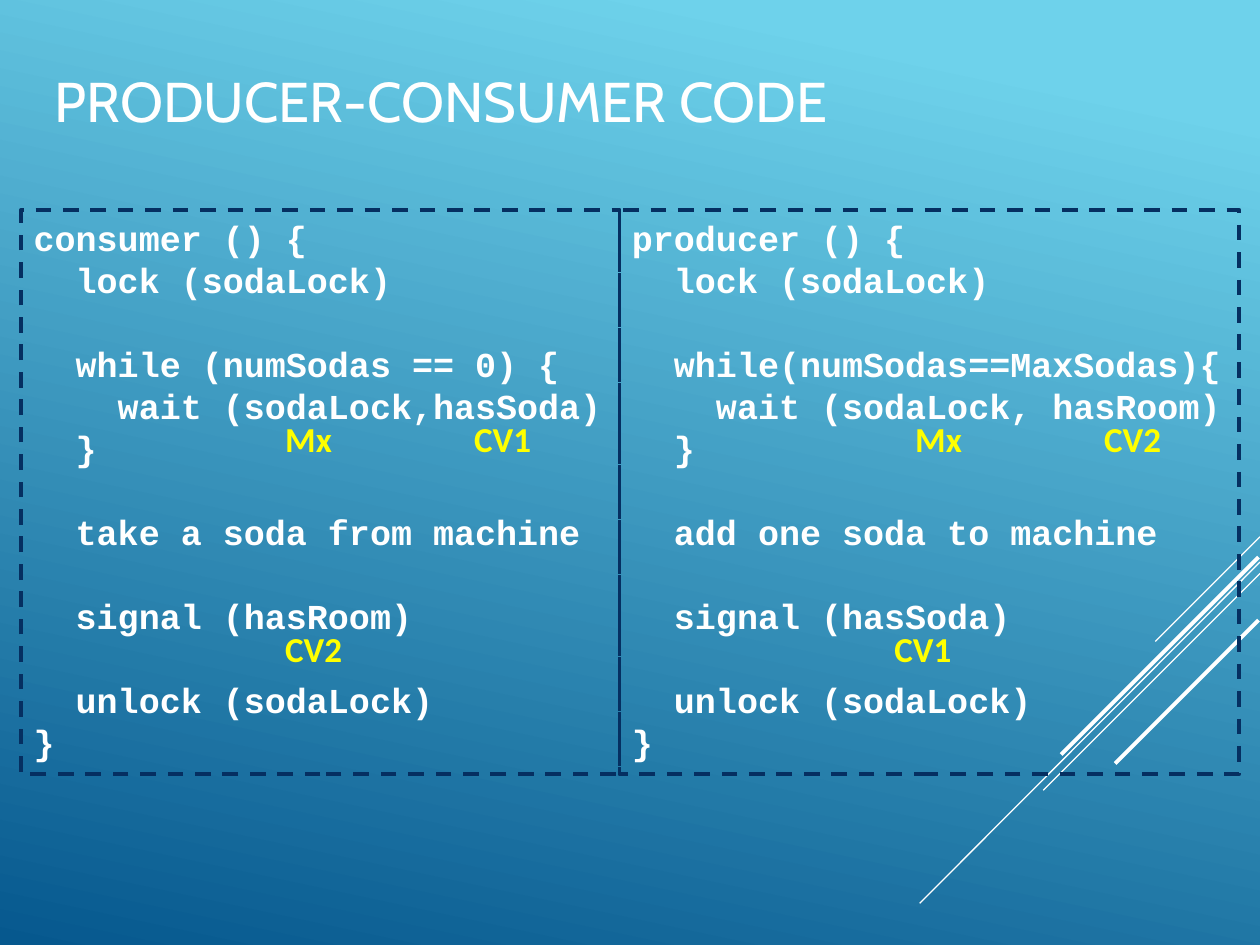
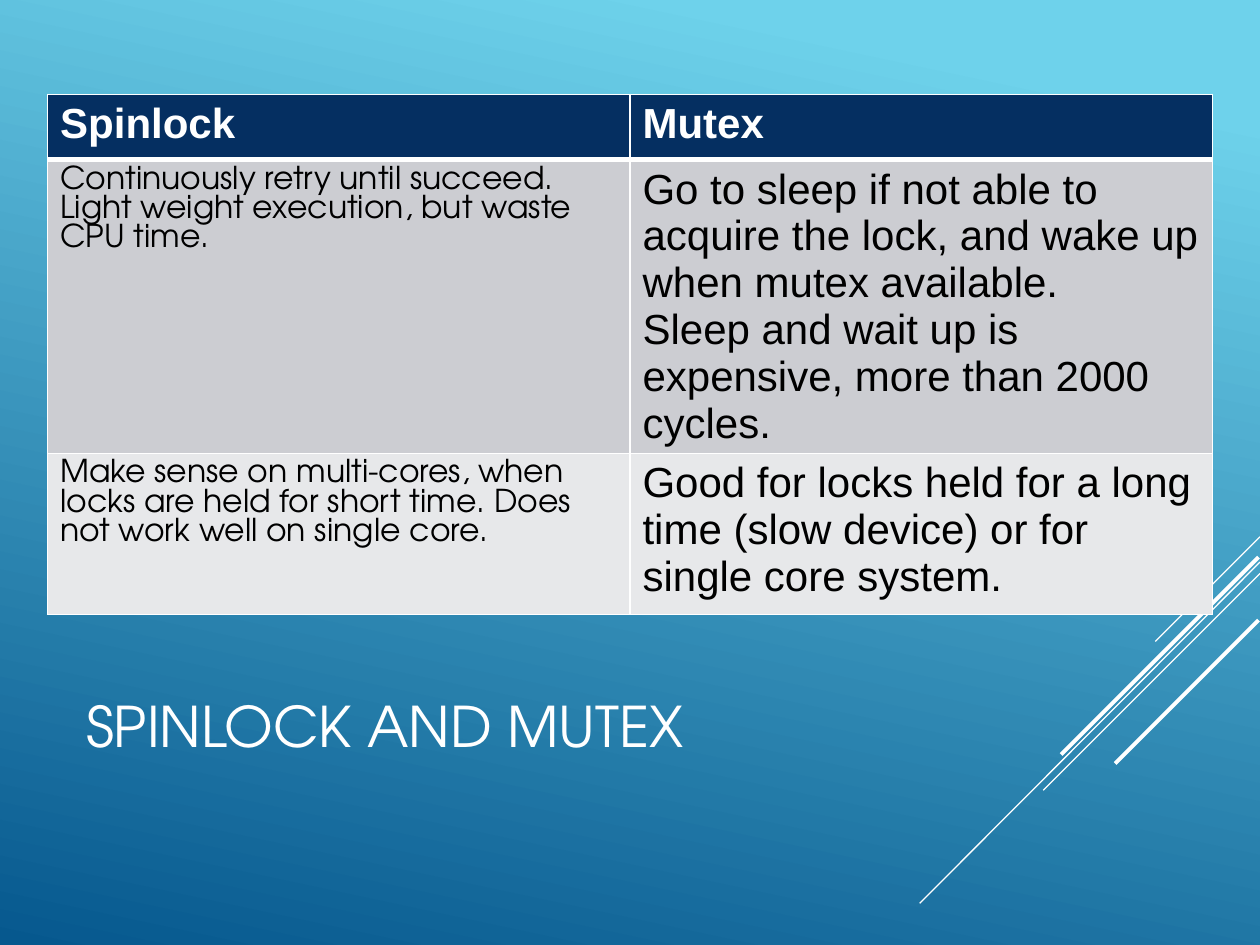
"""Build two slides on producer-consumer code and on spinlocks versus mutexes."""
from lxml import etree
from pptx import Presentation
from pptx.dml.color import RGBColor
from pptx.enum.dml import MSO_LINE
from pptx.enum.shapes import MSO_CONNECTOR, MSO_SHAPE
from pptx.enum.text import MSO_ANCHOR, PP_ALIGN
from pptx.oxml import parse_xml
from pptx.oxml.ns import nsdecls, qn
from pptx.util import Cm, Pt

STRAIGHT = MSO_CONNECTOR.STRAIGHT
RECT = MSO_SHAPE.RECTANGLE
DASH = MSO_LINE.DASH
TOP, MIDDLE = MSO_ANCHOR.TOP, MSO_ANCHOR.MIDDLE
LEFT = PP_ALIGN.LEFT

WHITE = RGBColor(0xFF, 0xFF, 0xFF)
BLACK = RGBColor(0x00, 0x00, 0x00)
YELLOW = RGBColor(0xFF, 0xFF, 0x00)
NAVY = RGBColor(0x05, 0x2F, 0x61)
SKY = RGBColor(0x6E, 0xD2, 0xEB)
OCEAN = RGBColor(0x06, 0x58, 0x8E)
BAND_DARK = RGBColor(0xCC, 0xCD, 0xD2)
BAND_LIGHT = RGBColor(0xE7, 0xE8, 0xEA)

ADVENTOR = "TeX Gyre Adventor"
CODE_PITCH = Pt(24)
RAYS = [
    (25.4, 10.82, 23.29, 12.93, 0.75),
    (25.4, 11.33, 18.54, 18.21, 0.75),
    (25.4, 11.56, 21.03, 15.93, 0.75),
    (25.37, 11.23, 21.39, 15.21, 2.25),
    (25.37, 12.5, 22.48, 15.39, 2.25),
]


def set_font(p, name, size, color, bold=False):
    for r in p.runs:
        r.font.name = name
        r.font.size = Pt(size)
        r.font.color.rgb = color
        r.font.bold = bold


def add_title_slide(title, left, top, font):
    s = prs.slides.add_slide(prs.slide_layouts[5])
    for x1, y1, x2, y2, weight in RAYS:
        ray = s.shapes.add_connector(STRAIGHT, Cm(x1), Cm(y1), Cm(x2), Cm(y2))
        ray.line.color.rgb = WHITE
        ray.line.width = Pt(weight)
        etree.SubElement(ray._element.spPr, qn("a:effectLst"))
    sp = s.shapes.title
    sp.left, sp.top, sp.width, sp.height = Cm(left), Cm(top), Cm(18.2), Cm(4.24)
    tf = sp.text_frame
    tf.text = title
    tf.vertical_anchor = MIDDLE
    tf.paragraphs[0].alignment = LEFT
    set_font(tf.paragraphs[0], font, 32, WHITE)
    return s


prs = Presentation()
prs.slide_width, prs.slide_height = Cm(25.4), Cm(19.05)

fill = prs.slide_master.background.fill
fill.gradient()
fill.gradient_angle = 258
for stop, color, position in zip(fill.gradient_stops, (SKY, OCEAN), (0.1, 1)):
    stop.color.rgb = color
    stop.position = position

s = add_title_slide("PRODUCER-CONSUMER CODE", 0.84, -0.1, "Cabin")

PRODUCER = """producer () {
  lock (sodaLock)

  while(numSodas==MaxSodas){
    wait (sodaLock, hasRoom)
  }

  add one soda to machine

  signal (hasSoda)

  unlock (sodaLock)
}"""
CONSUMER = """consumer () {
  lock (sodaLock)

  while (numSodas == 0) {
    wait (sodaLock,hasSoda)
  }

  take a soda from machine

  signal (hasRoom)

  unlock (sodaLock)
}"""

for code, left, width in ((PRODUCER, 12.49, 12.49), (CONSUMER, 0.43, 12.06)):
    sp = s.shapes.add_shape(RECT, Cm(left), Cm(4.23), Cm(width), Cm(11.38))
    sp.shadow.inherit = False
    sp.fill.background()
    sp.line.color.rgb = NAVY
    sp.line.width = Pt(2.25)
    sp.line.dash_style = DASH
    tf = sp.text_frame
    tf.word_wrap = True
    tf.vertical_anchor = TOP
    blocks = code.split("\n\n")
    tf.text = "\n".join(blocks)
    block_starts = {block.split("\n")[0] for block in blocks[1:]}
    for p in tf.paragraphs:
        p.alignment = LEFT
        p.line_spacing = CODE_PITCH
        if p.text in block_starts:
            p.space_before = CODE_PITCH
        set_font(p, "Courier New", 20, WHITE, True)

WAIT_TOP, SIGNAL_TOP = 8.3, 12.53
LABELS = [
    ("Mx", 5.5, WAIT_TOP), ("CV1", 9.31, WAIT_TOP),
    ("Mx", 18.2, WAIT_TOP), ("CV2", 22.01, WAIT_TOP),
    ("CV1", 17.78, SIGNAL_TOP), ("CV2", 5.5, SIGNAL_TOP),
]
for label, left, top in LABELS:
    tf = s.shapes.add_textbox(Cm(left), Cm(top), Cm(1.7), Cm(1.11)).text_frame
    tf.word_wrap = True
    tf.text = label
    set_font(tf.paragraphs[0], "Calibri", 20, YELLOW, True)

s = add_title_slide("SPINLOCK AND MUTEX", 1.48, 12.5, ADVENTOR)

ROWS = [
    ("Spinlock", "Mutex"),
    ("Continuously retry until succeed.\n"
     "Light weight execution, but waste CPU time.",
     "Go to sleep if not able to acquire the lock, and wake up when mutex available.\n"
     "Sleep and wait up is expensive, more than 2000 cycles."),
    ("Make sense on multi-cores, when locks are held for short time. "
     "Does not work well on single core.",
     "Good for locks held for a long time (slow device) or for single core system."),
]
ROW_HEIGHTS = (1.32, 5.18, 3.25)
ROW_FILLS = (NAVY, BAND_DARK, BAND_LIGHT)

table = s.shapes.add_table(3, 2, Cm(0.96), Cm(1.9), Cm(23.48), Cm(9.75)).table
for i, texts in enumerate(ROWS):
    table.rows[i].height = Cm(ROW_HEIGHTS[i])
    header = i == 0
    for j, text in enumerate(texts):
        cell = table.cell(i, j)
        tcPr = cell._tc.get_or_add_tcPr()
        for side in "LRTB":
            thick = (header and side == "B") or (i == 1 and side == "T")
            tcPr.append(parse_xml(
                f'<a:ln{side} {nsdecls("a")} w="{Pt(3 if thick else 1)}"><a:solidFill>'
                f'<a:srgbClr val="{WHITE}"/></a:solidFill></a:ln{side}>'))
        cell.fill.solid()
        cell.fill.fore_color.rgb = ROW_FILLS[i]
        cell.text = text
        for p in cell.text_frame.paragraphs:
            if header or j == 1:
                set_font(p, "Arial", 24, WHITE if header else BLACK, header)
            else:
                p.line_spacing = Pt(16.75)
                set_font(p, ADVENTOR, 18, BLACK)

prs.save("out.pptx")
